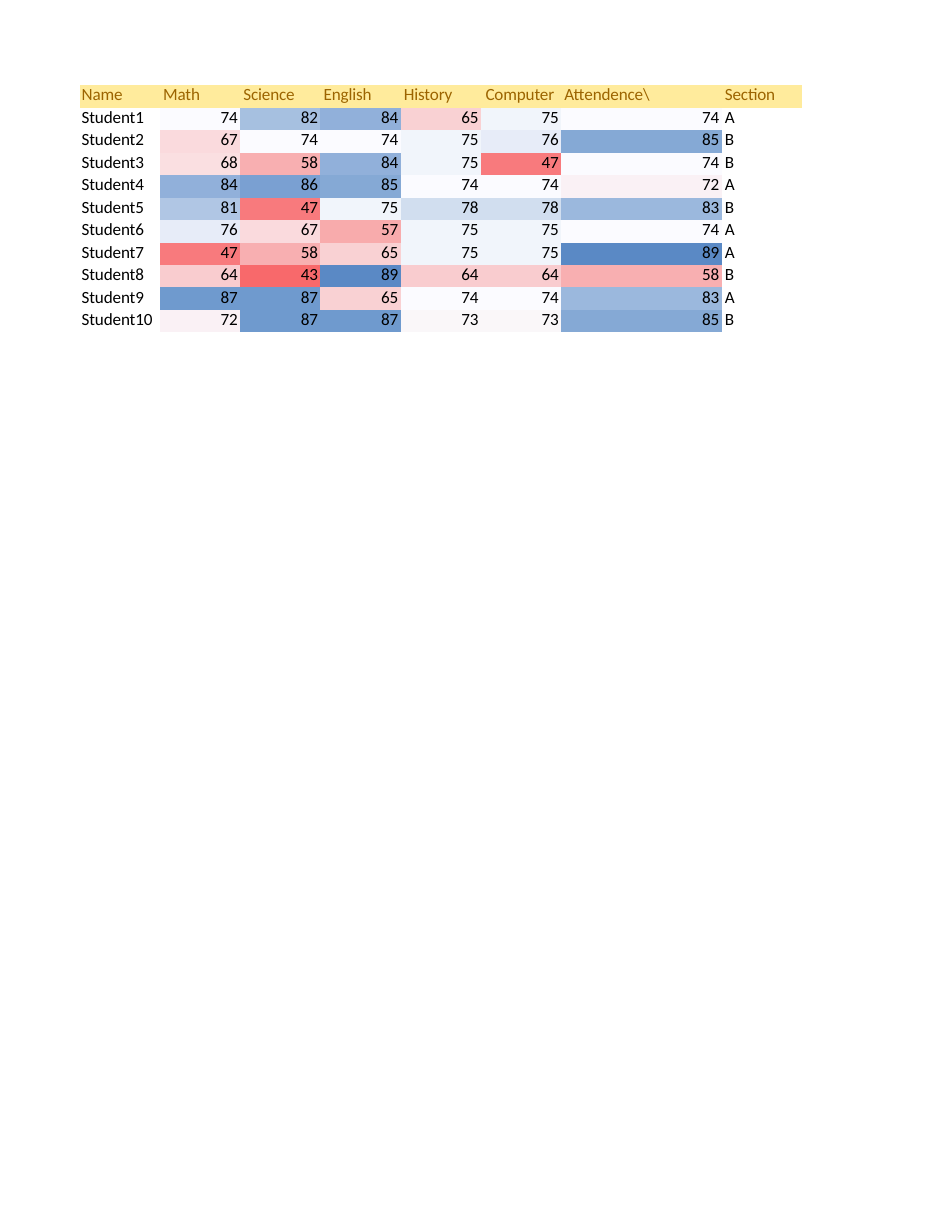
"""Build a one-page table of student marks shaded by score."""
from pptx import Presentation
from pptx.dml.color import RGBColor
from pptx.enum.text import PP_ALIGN
from pptx.util import Inches, Pt

HEADINGS = ["Name", "Math", "Science", "English", "History", "Computer", "Attendence\\", "Section"]
STUDENTS = [
    ("Student1", 74, 82, 84, 65, 75, 74, "A"),
    ("Student2", 67, 74, 74, 75, 76, 85, "B"),
    ("Student3", 68, 58, 84, 75, 47, 74, "B"),
    ("Student4", 84, 86, 85, 74, 74, 72, "A"),
    ("Student5", 81, 47, 75, 78, 78, 83, "B"),
    ("Student6", 76, 67, 57, 75, 75, 74, "A"),
    ("Student7", 47, 58, 65, 75, 75, 89, "A"),
    ("Student8", 64, 43, 89, 64, 64, 58, "B"),
    ("Student9", 87, 87, 65, 74, 74, 83, "A"),
    ("Student10", 72, 87, 87, 73, 73, 85, "B"),
]
THEME = {
    "font": "Calibri",
    "size": 11,
    "heading": "9C6400",
    "heading_fill": "FFEB9C",
    "text": "000000",
    "scores": {
        43: "F8696B", 47: "F87A7D", 57: "F8ABAC", 58: "F8AFB1", 64: "F9CCCF",
        65: "F9D1D3", 67: "FADADD", 68: "FADFE1", 72: "FAF1F5", 73: "FAF7F9",
        74: "FBFBFF", 75: "F1F5FB", 76: "E7ECF8", 78: "D1DEEF", 81: "B0C6E4",
        82: "A6C0E0", 83: "9BB8DD", 84: "91B0DA", 85: "85A9D5", 86: "7AA0D2",
        87: "6F9ACE", 89: "5A89C5",
    },
    "table_style": "{2D5ABB26-0587-4C30-8999-92F81FD0307C}",
}
PAGE_WIDTH, PAGE_HEIGHT = 8.5, 11
LEFT, TOP, WIDTH, HEIGHT = 0.71, 0.76, 6.45, 2.21
COLUMN_SHARES = [1, 1, 1, 1, 1, 1, 2, 1]


def write_cell(cell, text, *, color, fill=None, right=False, inset=0.02, line=13.1, spacing=-10):
    cell.margin_top = cell.margin_bottom = 0
    cell.margin_left = 0 if right else Inches(inset)
    cell.margin_right = Inches(inset) if right else 0
    if fill:
        cell.fill.solid()
        cell.fill.fore_color.rgb = RGBColor.from_string(fill)
    else:
        cell.fill.background()
    paragraph = cell.text_frame.paragraphs[0]
    paragraph.alignment = PP_ALIGN.RIGHT if right else PP_ALIGN.LEFT
    paragraph.line_spacing = Pt(line)
    run = paragraph.add_run()
    run.text = str(text)
    run.font.name = THEME["font"]
    run.font.size = Pt(THEME["size"])
    run.font.color.rgb = RGBColor.from_string(color)
    run._r.get_or_add_rPr().set("spc", str(spacing))


def add_marks_table(slide):
    rows, columns = len(STUDENTS) + 1, len(HEADINGS)
    shape = slide.shapes.add_table(
        rows, columns, Inches(LEFT), Inches(TOP), Inches(WIDTH), Inches(HEIGHT))
    table = shape.table
    table.first_row = table.horz_banding = False
    table._tbl.tblPr[0].text = THEME["table_style"]
    for column, share in zip(table.columns, COLUMN_SHARES):
        column.width = Inches(WIDTH * share / sum(COLUMN_SHARES))
    for row in table.rows:
        row.height = Inches(HEIGHT / rows)

    for index, heading in enumerate(HEADINGS):
        centered = heading == "Computer"
        write_cell(table.cell(0, index), heading, color=THEME["heading"],
                   fill=THEME["heading_fill"], right=centered,
                   inset=0.06 if centered else 0.03 if index else 0.02, line=12.7)
    for row_index, student in enumerate(STUDENTS, start=1):
        for index, value in enumerate(student):
            is_score = isinstance(value, int)
            is_section = index == columns - 1
            write_cell(table.cell(row_index, index), value, color=THEME["text"],
                       fill=THEME["scores"].get(value), right=is_score,
                       inset=0.03 if is_section else 0.02,
                       spacing=-20 if is_score else -50 if is_section else -10)


def main():
    presentation = Presentation()
    presentation.slide_width = Inches(PAGE_WIDTH)
    presentation.slide_height = Inches(PAGE_HEIGHT)
    slide = presentation.slides.add_slide(presentation.slide_layouts[6])
    add_marks_table(slide)
    presentation.save("out.pptx")


if __name__ == "__main__":
    main()
